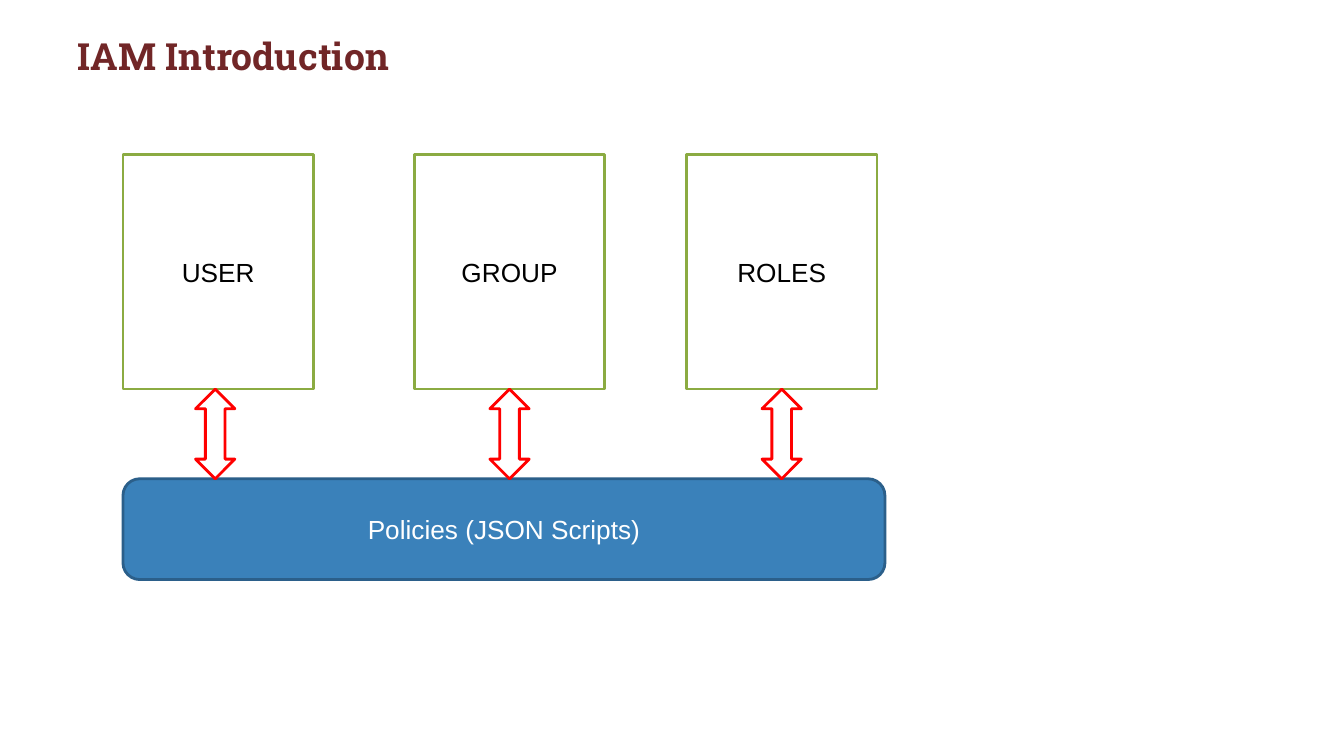
from pptx import Presentation
from pptx.dml.color import RGBColor
from pptx.enum.shapes import MSO_SHAPE as Shape
from pptx.enum.text import MSO_ANCHOR as Anchor, PP_ALIGN as Align
from pptx.util import Pt

MAROON = RGBColor(0x71, 0x26, 0x27)
GREEN = RGBColor(0x8B, 0xAB, 0x42)
BLUE = RGBColor(0x3A, 0x81, 0xBA)
DARK_BLUE = RGBColor(0x2B, 0x5F, 0x8A)
RED = RGBColor(0xFF, 0, 0)
BLACK = RGBColor(0, 0, 0)
WHITE = RGBColor(0xFF, 0xFF, 0xFF)

LEFT = 87.84
IDENTITY_TOP, IDENTITY_WIDTH, IDENTITY_HEIGHT = 110.16, 136.08, 167.76
POLICY_TOP = 342
ARROW_LENGTH, ARROW_THICKNESS = 64.08, 28.08

# Name, left edge of the box, centre of its arrow
IDENTITIES = [
    ("USER", LEFT, 153.72),
    ("GROUP", 295.92, 363.96),
    ("ROLES", 490.32, 558.36),
]


def write_text(shape, text, size=18.7, font="Arial", color=BLACK, bold=False,
               align=Align.CENTER, anchor=Anchor.MIDDLE):
    frame = shape.text_frame
    frame.word_wrap = True
    frame.vertical_anchor = anchor
    paragraph = frame.paragraphs[0]
    paragraph.text = text
    paragraph.alignment = align
    paragraph.font.size = Pt(size)
    paragraph.font.name = font
    paragraph.font.bold = bold
    paragraph.font.color.rgb = color


def add_title(slide, text):
    title = slide.shapes.add_textbox(Pt(48.24), Pt(5.76), Pt(864), Pt(56.88))
    frame = title.text_frame
    frame.margin_left = frame.margin_right = Pt(7.2)
    frame.margin_top = frame.margin_bottom = Pt(7.2)
    write_text(title, text, size=26.7, font="Roboto Slab", color=MAROON,
               bold=True, align=Align.LEFT, anchor=Anchor.BOTTOM)


def add_outlined_shape(slide, kind, left, top, width, height, line, fill=None):
    shape = slide.shapes.add_shape(kind, Pt(left), Pt(top), Pt(width), Pt(height))
    shape.shadow.inherit = False
    shape.line.color.rgb = line
    shape.line.width = Pt(2)
    if fill is None:
        shape.fill.background()
    else:
        shape.fill.solid()
        shape.fill.fore_color.rgb = fill
    return shape


def add_vertical_arrow(slide, center_x, center_y):
    """Add a double-headed arrow, turned upright around its centre."""
    arrow = add_outlined_shape(
        slide, Shape.LEFT_RIGHT_ARROW, center_x - ARROW_LENGTH / 2,
        center_y - ARROW_THICKNESS / 2, ARROW_LENGTH, ARROW_THICKNESS, RED)
    arrow.rotation = 90


def main():
    presentation = Presentation()
    presentation.slide_width = Pt(960)
    presentation.slide_height = Pt(540)
    slide = presentation.slides.add_slide(presentation.slide_layouts[6])

    add_title(slide, "IAM Introduction")
    for name, left, _ in IDENTITIES:
        box = add_outlined_shape(slide, Shape.RECTANGLE, left, IDENTITY_TOP,
                                 IDENTITY_WIDTH, IDENTITY_HEIGHT, GREEN, WHITE)
        write_text(box, name)

    policies = add_outlined_shape(slide, Shape.ROUNDED_RECTANGLE, LEFT,
                                  POLICY_TOP, 544.32, 72, DARK_BLUE, BLUE)
    write_text(policies, "Policies (JSON Scripts)", color=WHITE)

    gap_middle = (IDENTITY_TOP + IDENTITY_HEIGHT + POLICY_TOP) / 2
    for _, _, arrow_center in IDENTITIES:
        add_vertical_arrow(slide, arrow_center, gap_middle)

    presentation.save("out.pptx")


if __name__ == "__main__":
    main()
